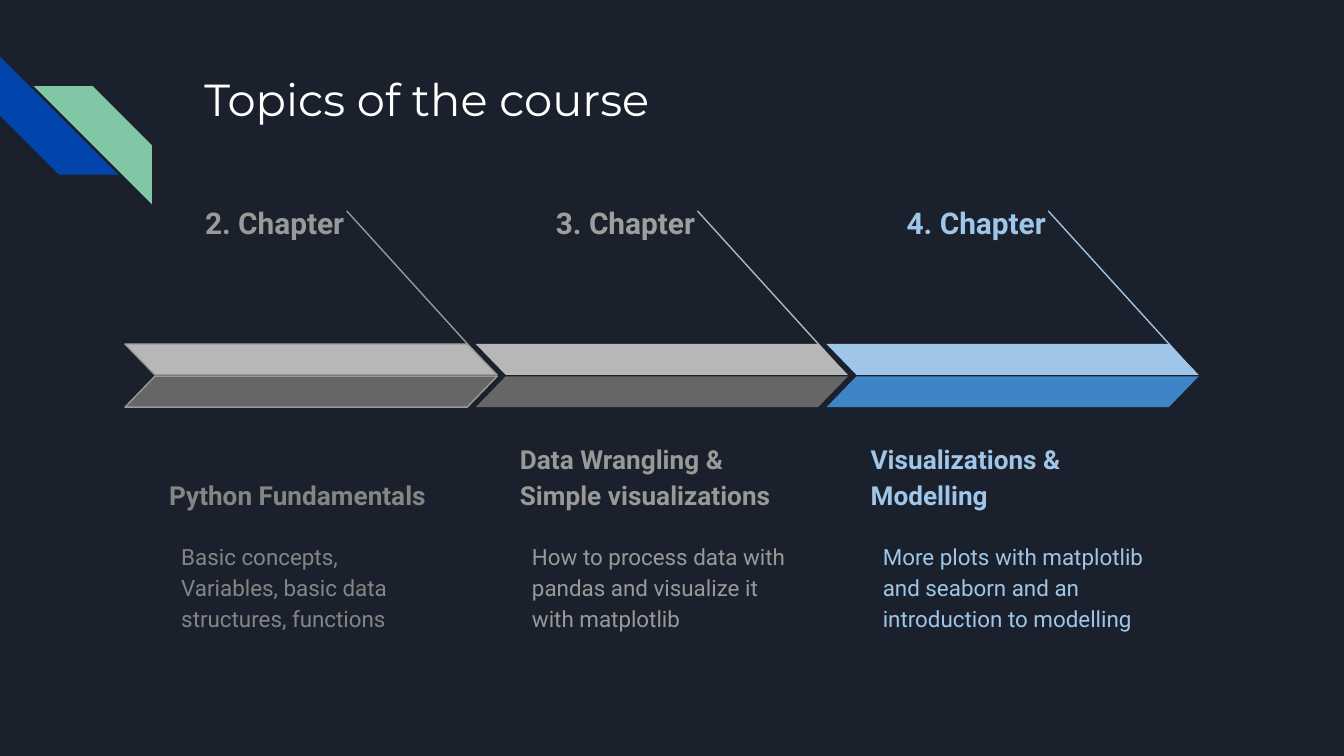
from dataclasses import dataclass

from lxml import etree
from pptx import Presentation
from pptx import util as u
from pptx.dml.color import RGBColor
from pptx.enum import shapes, text
from pptx.oxml.ns import qn


@dataclass(frozen=True)
class Theme:
    background: str = "1B212C"
    title: str = "FFFFFF"
    blue_stripe: str = "0145AC"
    green_stripe: str = "82C7A5"
    title_font: str = "Montserrat"
    body_font: str = "Roboto"
    title_size: int = 24
    chapter_size: int = 16
    heading_size: int = 14
    body_size: int = 12
    line_width: float = 0.75


@dataclass(frozen=True)
class Chapter:
    label: str
    heading: str
    body: str
    label_color: str
    heading_color: str
    line_color: str
    upper_fill: str
    lower_fill: str
    outline: str = ""


THEME = Theme()
FIRST_LEFT, PITCH = 0.93, 2.61
CHAPTERS = [
    Chapter("2. Chapter", "Python Fundamentals",
            "Basic concepts,\vVariables, basic data structures, functions",
            "999999", "858585", "999999", "B7B7B7", "666666", "999999"),
    Chapter("3. Chapter", "Data Wrangling & Simple visualizations",
            "How to process data with pandas and visualize it with matplotlib",
            "9E9E9E", "999999", "B7B7B7", "B7B7B7", "666666"),
    Chapter("4. Chapter", "Visualizations & Modelling",
            "More plots with matplotlib and seaborn and an introduction to modelling",
            "9FC5E8", "9FC5E8", "9FC5E8", "9FC5E8", "3D85C6"),
]


def rgb(color):
    return RGBColor.from_string(color)


def inches(*values):
    return [u.Inches(v) for v in values]


def set_all(obj, values):
    for name, value in values.items():
        setattr(obj, name, value)


def fill_text(sp, words, size, color, font=THEME.body_font, bold=False,
              paragraph=None, frame=None):
    tf = sp.text_frame
    margins = dict.fromkeys(
        ("margin_left", "margin_top", "margin_right", "margin_bottom"), u.Inches(0.1))
    set_all(tf, {"word_wrap": True, "auto_size": text.MSO_AUTO_SIZE.NONE,
                 "vertical_anchor": text.MSO_ANCHOR.TOP, **margins, **(frame or {})})
    p = tf.paragraphs[0]
    p.text = words
    set_all(p, {"alignment": text.PP_ALIGN.LEFT, **(paragraph or {})})
    for r in p.runs:
        set_all(r.font, {"size": u.Pt(size), "name": font, "bold": bold})
        r.font.color.rgb = rgb(color)


def add_text(s, box, words, size, color, **options):
    fill_text(s.shapes.add_textbox(*inches(*box)), words, size, color, **options)


def add_shape(s, kind, box, adjustment, fill, outline="", flip=False, rotation=0):
    sp = s.shapes.add_shape(kind, *inches(*box))
    sp.shadow.inherit = False
    sp.adjustments[0] = adjustment
    sp.rotation = rotation
    sp.fill.solid()
    sp.fill.fore_color.rgb = rgb(fill)
    if outline:
        sp.line.color.rgb = rgb(outline)
        sp.line.width = u.Pt(THEME.line_width)
    else:
        sp.line.fill.background()
    if flip:
        sp._element.spPr.xfrm.set("flipH", "1")


def add_line(s, ends, color):
    line = s.shapes.add_connector(shapes.MSO_CONNECTOR.STRAIGHT, *inches(*ends))
    line.line.color.rgb = rgb(color)
    line.line.width = u.Pt(THEME.line_width)
    etree.SubElement(line._element.spPr, qn("a:effectLst"))


def add_title(s, words):
    sp = s.shapes.title
    set_all(sp, dict(zip(("left", "top", "width", "height"), inches(1.42, 0.43, 7.7, 1))))
    fill_text(sp, words, THEME.title_size, THEME.title, font=THEME.title_font)


def add_stripes(s):
    stripe = shapes.MSO_SHAPE.DIAGONAL_STRIPE
    add_shape(s, stripe, (0, 0.42, 0.88, 0.88), 0.5, THEME.blue_stripe, rotation=270)
    add_shape(s, stripe, (0.25, 0.64, 0.88, 0.88), 0.5, THEME.green_stripe, flip=True)


def add_chapter(s, left, chapter):
    spaced = {"line_spacing": 1.15, "space_after": u.Pt(16)}
    add_text(s, (left + 0.38, 1.38, 1.35, 0.39), chapter.label,
             THEME.chapter_size, chapter.label_color, bold=True,
             paragraph={**spaced, "alignment": text.PP_ALIGN.RIGHT})
    add_text(s, (left + 0.23, 3.18, 2.27, 0.72), chapter.heading,
             THEME.heading_size, chapter.heading_color, bold=True,
             paragraph={"line_spacing": 1.15},
             frame={"vertical_anchor": text.MSO_ANCHOR.BOTTOM})
    add_text(s, (left + 0.32, 3.91, 2.21, 0.87), chapter.body,
             THEME.body_size, chapter.heading_color, paragraph=spaced,
             frame={"auto_size": text.MSO_AUTO_SIZE.SHAPE_TO_FIT_TEXT})
    add_line(s, (left + 1.65, 1.57, left + 2.74, 2.77), chapter.line_color)
    for top, fill, flip in ((2.56, chapter.upper_fill, True),
                            (2.8, chapter.lower_fill, False)):
        add_shape(s, shapes.MSO_SHAPE.PARALLELOGRAM, (left, top, 2.77, 0.23),
                  0.97, fill, chapter.outline, flip)


def main():
    prs = Presentation()
    prs.slide_width = u.Inches(10)
    prs.slide_height = prs.slide_width * 9 // 16
    s = prs.slides.add_slide(prs.slide_layouts[5])
    s.background.fill.solid()
    s.background.fill.fore_color.rgb = rgb(THEME.background)
    add_stripes(s)
    add_title(s, "Topics of the course")
    for i, chapter in enumerate(CHAPTERS):
        add_chapter(s, FIRST_LEFT + i * PITCH, chapter)
    prs.save("out.pptx")


if __name__ == "__main__":
    main()
